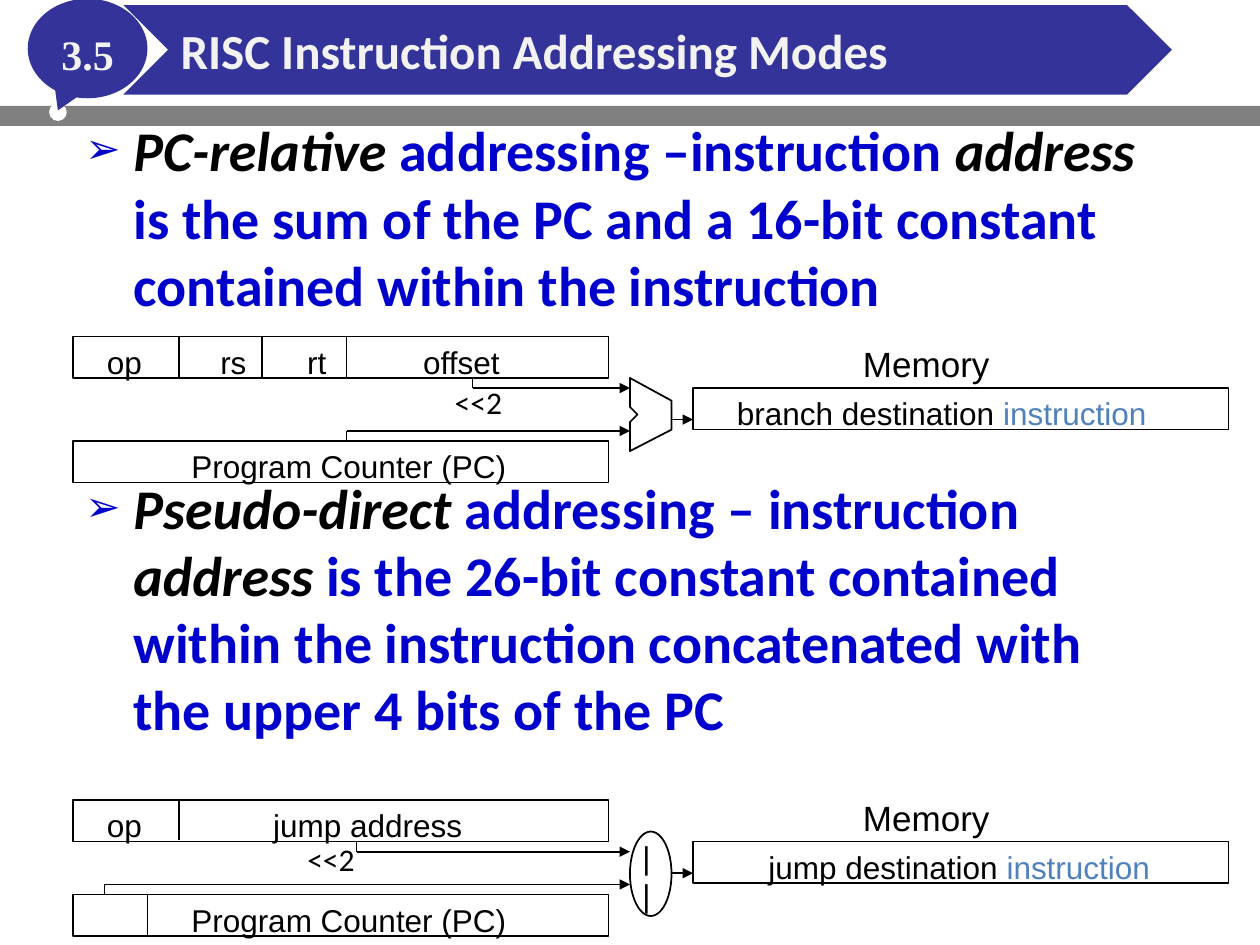
from pptx import Presentation
from pptx.dml.color import RGBColor
from pptx.enum.shapes import MSO_CONNECTOR, MSO_SHAPE
from pptx.enum.text import MSO_ANCHOR, PP_ALIGN
from pptx.oxml.ns import qn
from pptx.util import Inches, Pt
from lxml import etree

LINE = MSO_CONNECTOR.STRAIGHT
RECT, OVAL = MSO_SHAPE.RECTANGLE, MSO_SHAPE.OVAL
CALLOUT, CHEVRON = MSO_SHAPE.OVAL_CALLOUT, MSO_SHAPE.CHEVRON
MIDDLE = MSO_ANCHOR.MIDDLE
LEFT, CENTER = PP_ALIGN.LEFT, PP_ALIGN.CENTER

COLORS = {"ink": "000000", "blue": "0000CC", "accent": "4F81BD", "navy": "333399",
          "gray": "808080", "white": "FFFFFF", "pale": "F2F2F2"}
REG_W, REG_H = 4.25, 0.33  # registers and memory words
UNIT_X, UNIT_W = 4.42, 0.33  # adder or concatenation unit
MEMORY_X = 4.92
PC_Y = 0.83


def rgb(name):
    return RGBColor.from_string(COLORS[name])


def add_run(p, text, size, color="ink", font="Arial", bold=False, italic=False):
    r = p.add_run()
    r.text = text
    r.font.size, r.font.name = Pt(size), font
    r.font.bold, r.font.italic = bold, italic
    r.font.color.rgb = rgb(color)


def add_shape(s, kind, x, y, w, h, fill=None):
    """Filled shape without a line, or a black outline when fill is None."""
    sp = s.shapes.add_shape(kind, Inches(x), Inches(y), Inches(w), Inches(h))
    style(sp, fill)
    return sp


def style(sp, fill=None):
    sp.shadow.inherit = False
    if fill:
        sp.fill.solid()
        sp.fill.fore_color.rgb = rgb(fill)
        sp.line.fill.background()
    else:
        sp.fill.background()
        sp.line.color.rgb = rgb("ink")
        sp.line.width = Pt(1)


def add_text(s, x, y, w, h, runs, size=18, font="Arial"):
    tf = s.shapes.add_textbox(Inches(x), Inches(y), Inches(w), Inches(h)).text_frame
    tf.word_wrap = True
    for text, color in runs:
        add_run(tf.paragraphs[0], text, size, color, font)
    return tf


def add_line(s, x1, y1, x2, y2, arrow=False):
    line = s.shapes.add_connector(LINE, Inches(x1), Inches(y1), Inches(x2), Inches(y2))
    line.line.color.rgb = rgb("ink")
    line.line.width = Pt(1)
    if arrow:
        etree.SubElement(line.line._get_or_add_ln(), qn("a:tailEnd"), type="triangle")
    etree.SubElement(line._element.spPr, qn("a:effectLst"))


def add_bullet(p):
    pPr = p._p.get_or_add_pPr()
    pPr.set("marL", str(Inches(0.38)))
    pPr.set("indent", str(-Inches(0.38)))
    color = etree.SubElement(pPr, qn("a:buClr"))
    etree.SubElement(color, qn("a:srgbClr"), val=COLORS["blue"])
    etree.SubElement(pPr, qn("a:buSzPct"), val="75000")
    etree.SubElement(pPr, qn("a:buFont"), typeface="Arial")
    etree.SubElement(pPr, qn("a:buChar"), char="➢")


def header(s, x, y, number, title):
    """Gray rule, numbered balloon and title chevron."""
    add_shape(s, RECT, x - 0.03, y + 0.84, 10.04, 0.16, "gray")
    add_shape(s, OVAL, x + 0.39, y + 0.82, 0.14, 0.14, "white")
    balloon = add_shape(s, CALLOUT, x + 0.22, y - 0.01, 0.95, 0.79, "navy")
    balloon.adjustments[0], balloon.adjustments[1] = -0.248, 0.622
    banner = add_shape(s, CHEVRON, x + 0.98, y + 0.04, 8.32, 0.71, "navy")
    banner.adjustments[0] = 0.5
    for sp, text, size, font, align in (
            (balloon, number, 24, "Times New Roman", CENTER),
            (banner, title, 28, "Calibri", LEFT)):
        tf = sp.text_frame
        tf.vertical_anchor = MIDDLE
        p = tf.paragraphs[0]
        p.alignment = align
        add_run(p, text, size, "pale", font, bold=True)
    balloon.text_frame.paragraphs[0].line_spacing = 1.2


def definitions(s, x, y, w, h, items):
    """Bulleted definitions; every second run is a black italic term."""
    tf = add_text(s, x, y, w, h, [])
    for i, runs in enumerate(items):
        p = tf.add_paragraph() if i else tf.paragraphs[0]
        add_bullet(p)
        if i:
            p.space_before = Pt(89)  # leaves room for the diagram
        for j, text in enumerate(runs):
            term = j % 2 == 0
            add_run(p, text, 32, "ink" if term else "blue", "Calibri", True, term)


def adder(s, x, y):
    points = [(0, 0), (0.33, 0.18), (0.33, 0.41), (0, 0.58),
              (0, 0.35), (0.06, 0.29), (0, 0.23)]
    corners = [(Inches(x + dx), Inches(y + dy)) for dx, dy in points]
    fb = s.shapes.build_freeform(*corners[0], scale=1.0)
    fb.add_line_segments(corners[1:], close=True)
    style(fb.convert_to_shape())


def concatenator(s, x, y):
    add_shape(s, OVAL, x, y, UNIT_W, 0.67)
    tf = add_text(s, x, y, UNIT_W, 0.71, [("|", "ink")])
    add_run(tf.add_paragraph(), "|", 18)


def diagram(s, x, y, reg_y, fields, tabs, dividers, pc_dividers,
            taps, shift, unit, unit_y, target, target_x):
    """Instruction and PC registers wired through a unit to memory."""
    # Registers
    for top, marks in ((y + reg_y, dividers), (y + PC_Y, pc_dividers)):
        add_shape(s, RECT, x, top, REG_W, REG_H)
        for mark in marks:
            add_line(s, x + mark, top, x + mark, top + 0.32)
    tf = add_text(s, x + 0.17, y + reg_y, 4, 0.4, [])
    p = tf.paragraphs[0]
    tab_list = etree.SubElement(p._p.get_or_add_pPr(), qn("a:tabLst"))
    for pos in tabs:
        etree.SubElement(tab_list, qn("a:tab"), pos=str(Inches(pos)), algn="l")
    add_run(p, "\t".join(fields), 18)
    add_text(s, x + 0.84, y + PC_Y, 2.7, 0.4, [("Program Counter (PC)", "ink")])

    # Wires into the unit
    reg_bottom = reg_y + REG_H
    for tap, start, level in ((taps[0], reg_bottom, reg_bottom + 0.08),
                              (taps[1], PC_Y, PC_Y - 0.08)):
        add_line(s, x + tap, y + start, x + tap, y + level)
        add_line(s, x + tap, y + level, x + UNIT_X, y + level, arrow=True)
    add_text(s, x + shift[0], y + shift[1], 1.08, 0.4, [("<<2", "ink")], font="Calibri")
    unit(s, x + UNIT_X, y + unit_y)

    # Memory word
    add_line(s, x + UNIT_X + UNIT_W, y + 0.66, x + MEMORY_X, y + 0.66, arrow=True)
    add_shape(s, RECT, x + MEMORY_X, y + 0.41, REG_W, REG_H)
    add_text(s, x + 6.17, y, 1.58, 0.43, [("Memory", "ink")], size=20)
    add_text(s, x + target_x, y + 0.41, 3.6, 0.4,
             [(target, "ink"), ("instruction", "accent")])


def main():
    prs = Presentation()
    prs.slide_width, prs.slide_height = Inches(10), Inches(7.5)
    s = prs.slides.add_slide(prs.slide_layouts[6])

    definitions(s, 0.58, 0.87, 8.61, 5.2, [
        ["PC-relative", " addressing –instruction ", "address",
         " is the sum of the PC and a 16-bit constant contained within the instruction"],
        ["Pseudo-direct ", "addressing – instruction ", "address",
         " is the 26-bit constant contained within the instruction "
         "concatenated with the upper 4 bits of the PC"]])

    diagram(s, 0.58, 2.67, reg_y=0, fields=["op", "rs", "rt", "offset"],
            tabs=[0.9, 1.59, 2.51], dividers=[0.84, 1.5, 2.17], pc_dividers=[],
            taps=(3.17, 2.17), shift=(2.93, 0.32), unit=adder, unit_y=0.33,
            target="branch destination ", target_x=5.17)
    diagram(s, 0.58, 6.27, reg_y=0.08, fields=["op", "jump address"],
            tabs=[1.32], dividers=[0.84], pc_dividers=[0.59],
            taps=(2.25, 0.25), shift=(1.76, 0.35), unit=concatenator, unit_y=0.33,
            target="jump destination ", target_x=5.42)

    header(s, 0, 0, "3.5", "RISC Instruction Addressing Modes")
    prs.save("out.pptx")


if __name__ == "__main__":
    main()
